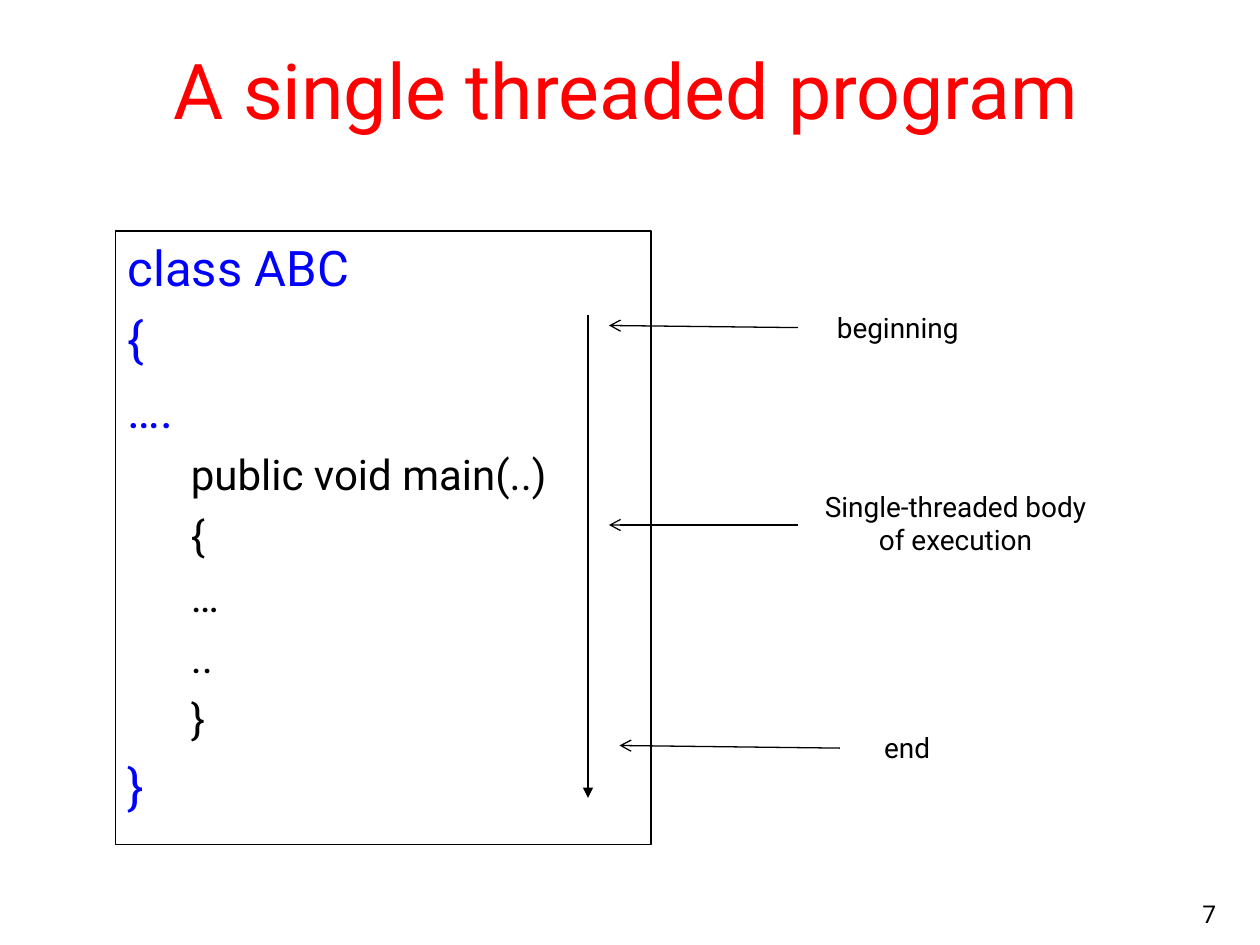
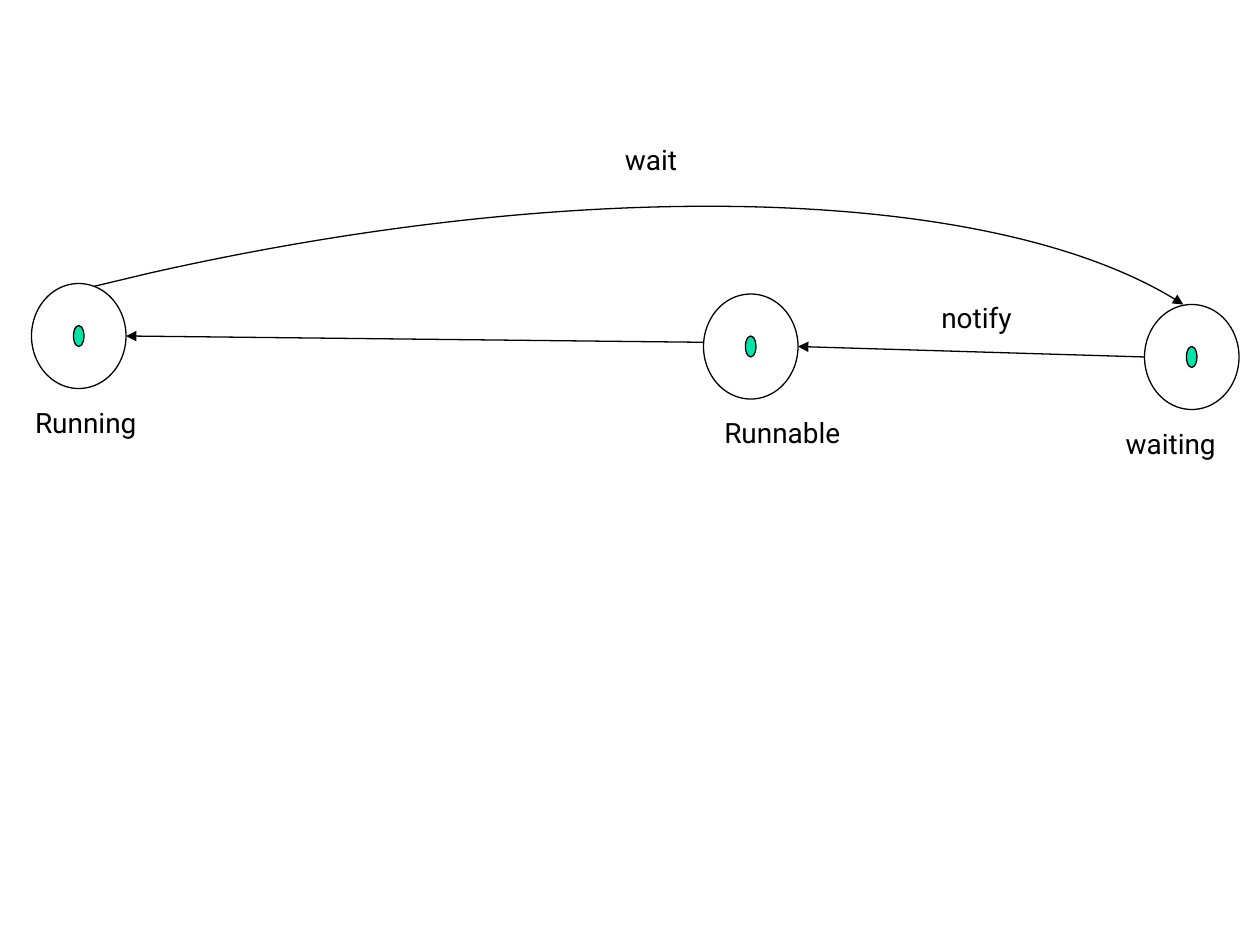
"""Build two slides on threads: a single-threaded program and the wait/notify states."""
from dataclasses import dataclass
from lxml.etree import SubElement
from pptx import Presentation
from pptx.dml.color import RGBColor
from pptx.enum.shapes import MSO_CONNECTOR, MSO_SHAPE
from pptx.enum.text import MSO_ANCHOR, MSO_AUTO_SIZE, PP_ALIGN
from pptx.oxml.ns import qn
from pptx.util import Inches, Pt


@dataclass(frozen=True)
class Theme:
    font: str = "Roboto"
    ink: str = "000000"
    paper: str = "FFFFFF"
    title_color: str = "FF0000"
    class_color: str = "0000FF"
    dot_color: str = "00E4A8"
    title: int = 44
    class_code: int = 28
    method_code: int = 24
    label: int = 16
    number: int = 14
    line: float = 0.75


THEME = Theme()
WIDTH, HEIGHT = Inches(10), Inches(7.5)
COLS, ROWS = 120, 90
CLASS = dict(size=THEME.class_code, color=THEME.class_color, before=7, left=0.38, hang=0.38)
METHOD = dict(size=THEME.method_code, color=THEME.ink, before=6, left=0.81, hang=0.31)
CODE = [
    (CLASS, ["class ABC", "{", "…."]),
    (METHOD, ["public void main(..)", "{", "…", "..", "}"]),
    (CLASS, ["}"]),
]


def cells(x, y):
    """Turn a column and a row of the grid into slide lengths."""
    return round(x * WIDTH / COLS), round(y * HEIGHT / ROWS)


def apply(obj, **values):
    """Set each given attribute on an object."""
    for name, value in values.items():
        setattr(obj, name, value)


def write(p, text, size, color):
    """Add one formatted run to a paragraph."""
    r = p.add_run()
    r.text = text
    apply(r.font, name=THEME.font, size=Pt(size))
    r.font.color.rgb = RGBColor.from_string(color)


def text_box(s, text, x, y, w, h, size=THEME.label, color=THEME.ink,
             align=PP_ALIGN.CENTER, **frame):
    """Add a one-paragraph text box."""
    tf = s.shapes.add_textbox(*cells(x, y), *cells(w, h)).text_frame
    apply(tf, **{"word_wrap": True, **frame})
    p = tf.paragraphs[0]
    p.alignment = align
    write(p, text, size, color)


def label(s, text, x, y, w, h=4.4, wrap=True):
    """Add a centred label that grows with its text."""
    text_box(s, text, x, y, w, h, word_wrap=wrap, auto_size=MSO_AUTO_SIZE.SHAPE_TO_FIT_TEXT)


def outline(shape):
    """Give a shape or connector the thin ink line."""
    shape.line.color.rgb = RGBColor.from_string(THEME.ink)
    shape.line.width = Pt(THEME.line)


def arrowhead(shape, kind):
    """Put an arrowhead at the end of a line."""
    SubElement(shape.line._get_or_add_ln(), qn("a:tailEnd"), type=kind)


def arrow(s, start, end, kind="triangle"):
    """Draw a straight arrow between two grid points."""
    c = s.shapes.add_connector(MSO_CONNECTOR.STRAIGHT, *cells(*start), *cells(*end))
    outline(c)
    arrowhead(c, kind)
    SubElement(c._element.spPr, qn("a:effectLst"))


def curved_arrow(s, start, *curves):
    """Draw an open arrow through cubic curves of three grid points each."""
    builder = s.shapes.build_freeform(*cells(*start))
    builder.add_line_segments([cells(*pt) for curve in curves for pt in curve], close=False)
    sp = builder.convert_to_shape()
    sp.fill.background()
    sp.shadow.inherit = False
    outline(sp)
    arrowhead(sp, "triangle")
    outline_path = next(sp._element.iter(qn("a:path")))
    steps = outline_path.findall(qn("a:lnTo"))
    for i in range(0, len(steps), 3):
        bezier = SubElement(outline_path, qn("a:cubicBezTo"))
        for step in steps[i:i + 3]:
            bezier.append(step[0])
            outline_path.remove(step)


def ellipse(s, x, y, w, h, fill):
    """Draw a filled ellipse with a thin line."""
    sp = s.shapes.add_shape(MSO_SHAPE.OVAL, *cells(x, y), *cells(w, h))
    sp.shadow.inherit = False
    sp.fill.solid()
    sp.fill.fore_color.rgb = RGBColor.from_string(fill)
    outline(sp)


def state(s, x, y, name, label_x, label_w):
    """Draw a thread state: a circle, its dot and its name below."""
    ellipse(s, x, y, 9, 10, THEME.paper)
    ellipse(s, x + 4, y + 4, 1, 2, THEME.dot_color)
    label(s, name, label_x, y + 11, label_w)


def code_box(s, x, y, w, h):
    """Draw the framed program listing."""
    sp = s.shapes.add_textbox(*cells(x, y), *cells(w, h))
    outline(sp)
    tf = sp.text_frame
    tf.word_wrap = True
    lines = [(style, text) for style, texts in CODE for text in texts]
    for i, (style, text) in enumerate(lines):
        p = tf.add_paragraph() if i else tf.paragraphs[0]
        p.space_before = Pt(style["before"])
        pPr = p._p.get_or_add_pPr()
        pPr.set("marL", str(Inches(style["left"])))
        pPr.set("indent", str(-Inches(style["hang"])))
        write(p, text, style["size"], style["color"])


def program_slide(s):
    """Show a program with one thread of execution."""
    text_box(s, "7", 92, 83, 25, 6, THEME.number, align=PP_ALIGN.RIGHT,
             vertical_anchor=MSO_ANCHOR.BOTTOM)
    text_box(s, "A single threaded program", 2, 2, 115.3, 13, THEME.title,
             THEME.title_color, vertical_anchor=MSO_ANCHOR.MIDDLE)
    code_box(s, 11, 22, 51, 58.4)
    arrow(s, (56, 30), (56, 76))
    label(s, "beginning", 76, 29, 19)
    label(s, "Single-threaded body of execution", 77, 46, 28, 7.7)
    label(s, "end", 82.8, 69, 7.2, wrap=False)
    for start, end in [((76, 50), (58, 50)), ((76, 31.2), (58, 31)), ((80, 71.25), (59, 71))]:
        arrow(s, start, end, "arrow")


def states_slide(s):
    """Show how wait and notify move a thread between states."""
    curved_arrow(s, (8, 27.5),
                 [(10.1, 27), (12.2, 26.5), (14.3, 26)],
                 [(56, 16.6), (95.5, 17.8), (112.7, 29)])
    state(s, 3, 27, "Running ", 0, 17)
    state(s, 67, 28, "Runnable", 58, 33)
    state(s, 109, 29, "waiting", 91, 41)
    arrow(s, (109, 34), (76, 33))
    arrow(s, (67, 32.6), (12, 32))
    label(s, "notify", 84, 28, 18)
    label(s, "wait", 51, 13, 22)


def main():
    """Build and save the presentation."""
    prs = Presentation()
    apply(prs, slide_width=WIDTH, slide_height=HEIGHT)
    for build in (program_slide, states_slide):
        build(prs.slides.add_slide(prs.slide_layouts[6]))
    prs.save("out.pptx")


if __name__ == "__main__":
    main()
